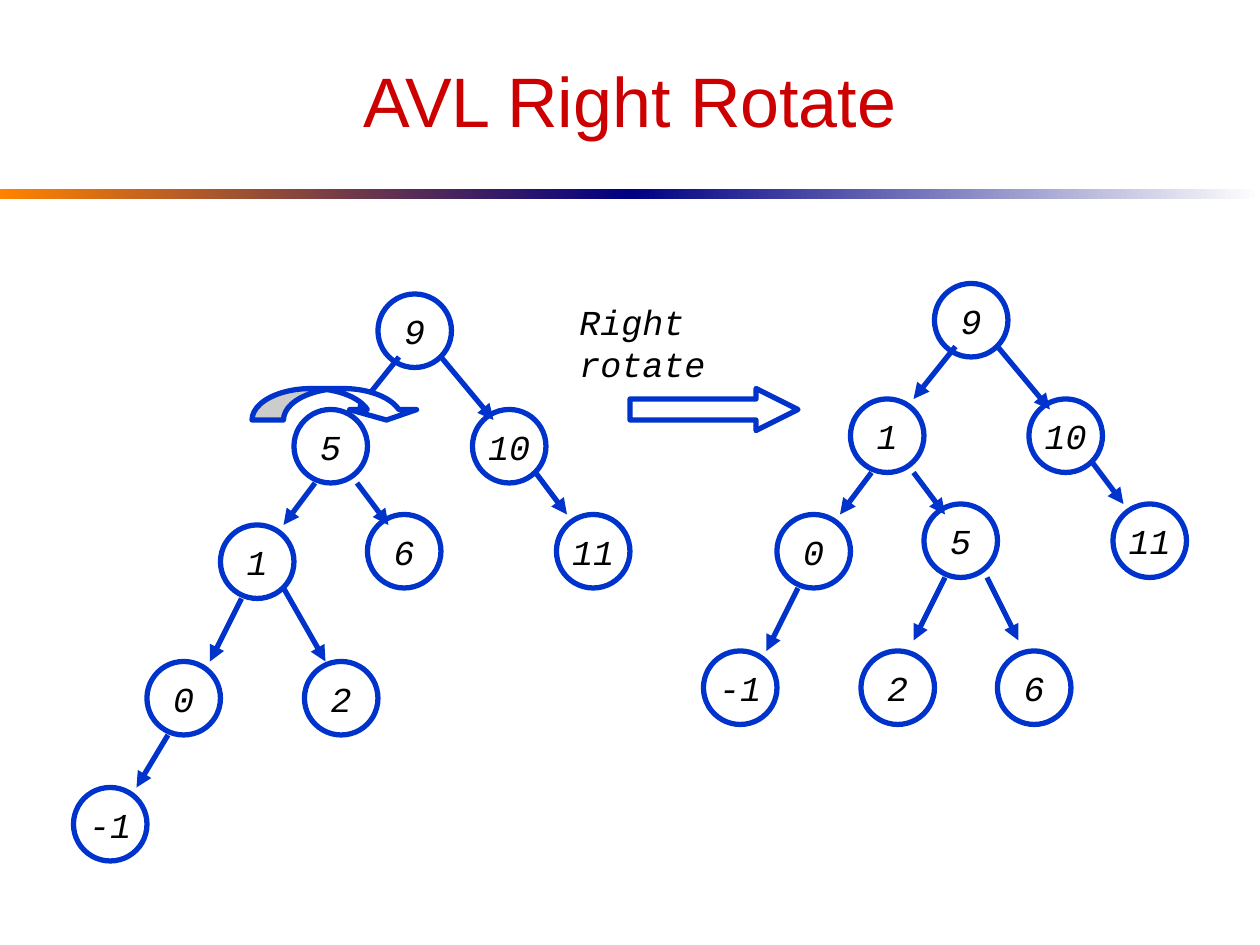
"""Build a slide that shows an AVL tree before and after a right rotation."""
import pptx
import pptx.dml.color
import pptx.enum.shapes
import pptx.enum.text
import pptx.oxml.ns
import pptx.util
from lxml import etree

theme = {
    "title": "CC0000", "ink": "000000", "edge": "0033CC", "fill": "FFFFFF",
    "fade": [("FF8200", "000082"), ("000082", "FFFFFF")],
    "head": "Arial", "code": "Courier New", "big": 40, "small": 20, "line": 3,
}
shapes = pptx.enum.shapes.MSO_SHAPE
align = pptx.enum.text.PP_ALIGN
rgb = pptx.dml.color.RGBColor.from_string

deck = pptx.Presentation()
deck.slide_width = pptx.util.Inches(10)
deck.slide_height = pptx.util.Inches(7.5)
slide = deck.slides.add_slide(deck.slide_layouts[6])
cell = deck.slide_width // 120
size = 7


def draw(kind, col, row, wide, high):
    shape = slide.shapes.add_shape(kind, *(round(n * cell) for n in (col, row, wide, high)))
    shape.shadow.inherit = False
    shape.fill.solid()
    shape.fill.fore_color.rgb = rgb(theme["fill"])
    shape.line.color.rgb = rgb(theme["edge"])
    shape.line.width = pptx.util.Pt(theme["line"])
    return shape


def write(shape, text, face, points, color, side, slant=True, wrap=False):
    frame = shape.text_frame
    frame.text = text
    frame.word_wrap = wrap
    para = frame.paragraphs[0]
    para.alignment = side
    para.font.name = face
    para.font.size = pptx.util.Pt(points)
    para.font.italic = slant
    para.font.color.rgb = rgb(color)
    return frame


for half, (start, end) in enumerate(theme["fade"]):
    bar = draw(shapes.RECTANGLE, 60 * half, 18, 60, 1)
    bar.line.fill.background()
    bar.fill.gradient()
    bar.fill.gradient_angle = 0
    for stop, color in zip(bar.fill.gradient_stops, (start, end)):
        stop.color.rgb = rgb(color)

title = slide.shapes.add_textbox(6 * cell, 3 * cell, 108 * cell, 13 * cell)
frame = write(title, "AVL Right Rotate", theme["head"], theme["big"], theme["title"],
              align.CENTER, slant=False, wrap=True)
frame.vertical_anchor = pptx.enum.text.MSO_ANCHOR.MIDDLE

trees = [
    ([("9", 36, 28), ("5", 28, 39), ("10", 45, 39), ("11", 53, 49), ("6", 35, 49),
      ("0", 14, 63), ("1", 21, 50), ("2", 29, 63), ("-1", 7, 75)],
     [(38, 34, 34, 39), (42, 34, 47, 40), (51, 45, 54, 49), (30, 46, 27, 50),
      (34, 46, 37, 50), (23, 57, 20, 63), (27, 56, 31, 63), (16, 70, 13, 75)]),
    ([("9", 89, 27), ("1", 81, 38), ("10", 98, 38), ("11", 106, 48), ("5", 88, 48),
      ("-1", 67, 62), ("0", 74, 49), ("2", 82, 62), ("6", 95, 62)],
     [(91, 33, 87, 38), (95, 33, 100, 39), (104, 44, 107, 48), (83, 45, 80, 49),
      (87, 45, 90, 49), (76, 56, 73, 62), (90, 55, 87, 61), (94, 55, 97, 61)]),
]
for nodes, edges in trees:
    for key, col, row in nodes:
        node = draw(shapes.OVAL, col, row, size, size)
        frame = write(node, key, theme["code"], theme["small"], theme["ink"], align.CENTER)
        frame.vertical_anchor = pptx.enum.text.MSO_ANCHOR.MIDDLE
    for ends in edges:
        edge = slide.shapes.add_connector(
            pptx.enum.shapes.MSO_CONNECTOR.STRAIGHT, *(n * cell for n in ends))
        edge.line.color.rgb = rgb(theme["edge"])
        edge.line.width = pptx.util.Pt(theme["line"])
        props = edge._element.spPr
        etree.SubElement(props.ln, pptx.oxml.ns.qn("a:tailEnd"), type="triangle")
        etree.SubElement(props, pptx.oxml.ns.qn("a:effectLst"))

label = slide.shapes.add_textbox(54 * cell, 28 * cell, round(26.4 * cell), round(5.25 * cell))
frame = write(label, "Right rotate", theme["code"], theme["small"], theme["ink"], align.LEFT)
frame.auto_size = pptx.enum.text.MSO_AUTO_SIZE.SHAPE_TO_FIT_TEXT

turn = draw(shapes.CURVED_DOWN_ARROW, 24, 37, 16, 3)
for spot, share in enumerate((1.07, 2.13, 0.33)):
    turn.adjustments[spot] = share
arrow = draw(shapes.RIGHT_ARROW, 60, 37, 16, 4)
arrow.adjustments[1] = 1

deck.save("out.pptx")
